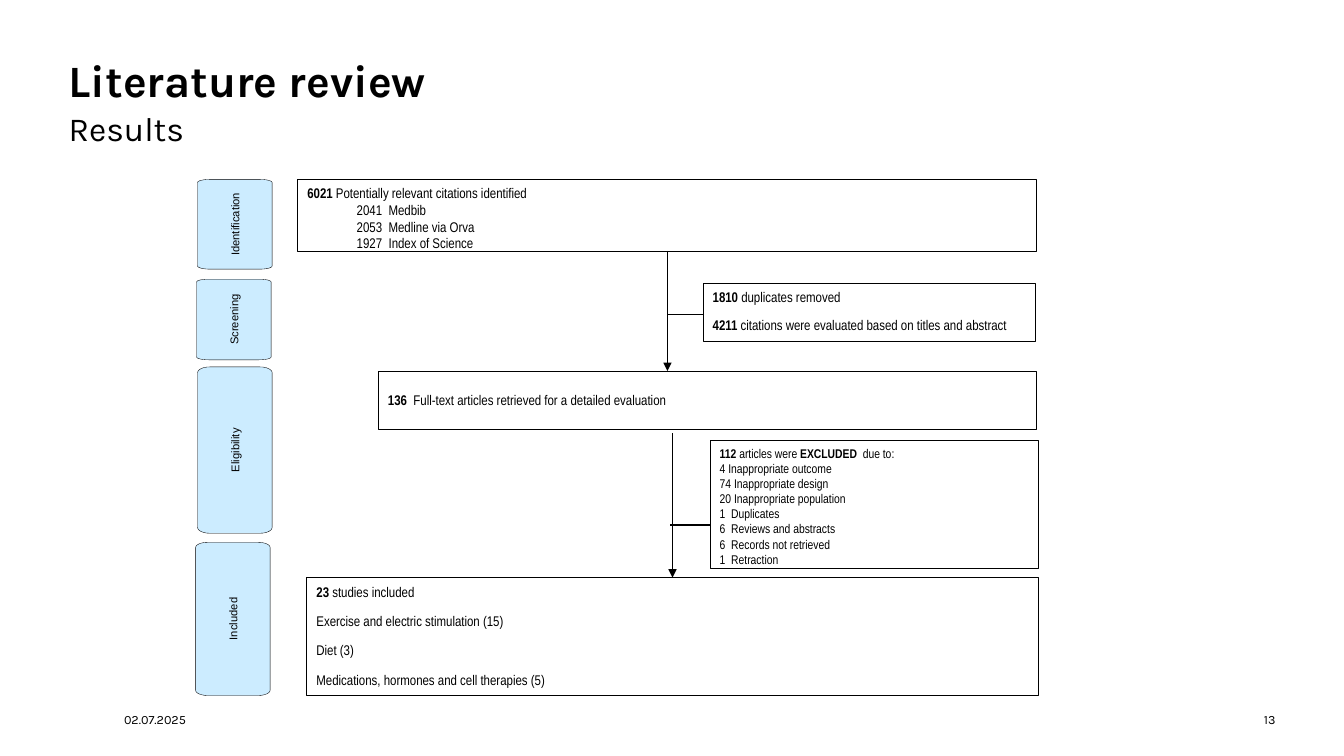
from math import cos, pi, sin

from lxml import etree
from pptx import Presentation
from pptx.dml.color import RGBColor
from pptx.enum.shapes import MSO_CONNECTOR as Connector, MSO_SHAPE as Preset
from pptx.enum.text import MSO_ANCHOR as Anchor, PP_ALIGN as Align
from pptx.oxml.ns import qn
from pptx.util import Emu, Pt

PX = 9144
BLACK, WHITE, PALE_BLUE = "000000", "FFFFFF", "CCECFF"
NARROW = "Arial Narrow"

HEADINGS = [
    dict(area=(68, 52, 1197, 55), lines=["Literature review"], size=32, bold=True),
    dict(area=(68, 107, 1197, 55), lines=["Results"], size=24),
    dict(area=(123, 704, 291, 20), lines=["02.07.2025"], size=9, anchor=Anchor.MIDDLE),
    dict(area=(1210, 704, 55, 20), lines=["13"], size=9, anchor=Anchor.MIDDLE, align=Align.RIGHT),
]
FLOW_BOXES = [
    dict(
        area=(295, 178, 733, 71),
        preset=Preset.FLOWCHART_PROCESS,
        indent=49,
        lines=[
            "**6021 **Potentially relevant citations identified",
            "2041  Medbib",
            "2053  Medline via Orva",
            "1927  Index of Science",
        ],
    ),
    dict(
        area=(697, 281, 330, 58),
        before=8,
        lines=[
            "**1810 **duplicates removed",
            "**4211 **citations were evaluated based on titles and abstract",
        ],
    ),
    dict(
        area=(704, 437, 326, 127),
        size=9,
        lines=[
            "**112 **articles were **EXCLUDED**  due to:",
            "4 Inappropriate outcome",
            "74 Inappropriate design",
            "20 Inappropriate population",
            "1  Duplicates",
            "6  Reviews and abstracts",
            "6  Records not retrieved",
            "1  Retraction",
        ],
    ),
    dict(
        area=(304, 573, 726, 117),
        after=8,
        spacing=1.07,
        lines=[
            "**23 **studies included",
            "Exercise and electric stimulation (15)",
            "Diet (3)",
            "Medications, hormones and cell therapies (5)",
        ],
    ),
    dict(
        area=(375, 368, 653, 58),
        anchor=Anchor.MIDDLE,
        lines=["**136 ** Full-text articles retrieved for a detailed evaluation"],
    ),
]
FLOW_LINES = [
    ((662, 312), (697, 312), False),
    ((667, 430), (667, 573), True),
    ((662, 249), (662, 368), True),
    ((665, 521), (704, 521), False),
]
STAGE_WIDTH = 74
STAGES = [
    ("Identification", 196, 178, 89),
    ("Screening", 195, 277, 80),
    ("Eligibility", 196, 364, 165),
    ("Included", 194, 538, 152),
]


def emu(*lengths):
    return [Emu(round(length * PX)) for length in lengths]


def color(value):
    return RGBColor.from_string(value)


def paint(shape, fill):
    shape.shadow.inherit = False
    shape.fill.solid()
    shape.fill.fore_color.rgb = color(fill)
    shape.line.color.rgb = color(BLACK)
    shape.line.width = Pt(0.25)


def write(shape, lines, size, font, bold=None, align=Align.LEFT, anchor=Anchor.TOP,
          inset=(0, 0), indent=0, before=0, after=0, spacing=None):
    frame = shape.text_frame
    frame.word_wrap = True
    frame.vertical_anchor = anchor
    frame.margin_left = frame.margin_right = Emu(inset[0] * PX)
    frame.margin_top = frame.margin_bottom = Emu(inset[1] * PX)
    for number, line in enumerate(lines):
        para = frame.add_paragraph() if number else frame.paragraphs[0]
        para.alignment = align
        para.space_before = Pt(before if number else 0)
        para.space_after = Pt(after)
        if spacing:
            para.line_spacing = spacing
        if indent and number:
            para._p.get_or_add_pPr().set("marL", str(indent * PX))
        para.font.size = Pt(size)
        para.font.name = font
        para.font.bold = bold
        para.font.color.rgb = color(BLACK)
        for part, text in enumerate(line.split("**")):
            if text:
                span = para.add_run()
                span.text = text
                if part % 2:
                    span.font.bold = True


def add_flow_box(shapes, area, preset=Preset.RECTANGLE, size=10, **style):
    box = shapes.add_shape(preset, *emu(*area))
    paint(box, WHITE)
    write(box, size=size, font=NARROW, inset=(10, 5), **style)


def add_flow_line(shapes, start, end, arrow):
    line = shapes.add_connector(Connector.STRAIGHT, *emu(*start, *end))
    line.line.color.rgb = color(BLACK)
    line.line.width = Pt(1)
    if arrow:
        etree.SubElement(line.line._get_or_add_ln(), qn("a:tailEnd"), type="triangle")
    etree.SubElement(line._element.spPr, qn("a:effectLst"))


def add_stage(shapes, label, left, top, height):
    across, down, steps = 12, height * 0.035, 6
    right, bottom = left + STAGE_WIDTH, top + height
    corners = [
        (right - across, bottom - down),
        (left + across, bottom - down),
        (left + across, top + down),
        (right - across, top + down),
    ]
    outline = []
    for quarter, (x, y) in enumerate(corners):
        for step in range(steps + 1):
            angle = (quarter + step / steps) * pi / 2
            outline.append(emu(x + across * cos(angle), y + down * sin(angle)))
    builder = shapes.build_freeform(*outline[0])
    builder.add_line_segments(outline[1:], close=True)
    paint(builder.convert_to_shape(), PALE_BLUE)

    turned = (left + (STAGE_WIDTH - height) / 2, top + (height - STAGE_WIDTH) / 2)
    caption = shapes.add_textbox(*emu(*turned, height, STAGE_WIDTH))
    caption.rotation = 270
    write(caption, [label], 8, "Arial", align=Align.CENTER, anchor=Anchor.MIDDLE)


def main():
    deck = Presentation()
    deck.slide_width, deck.slide_height = emu(1333, 750)
    page = deck.slides.add_slide(deck.slide_layouts[6])
    for heading in HEADINGS:
        style = dict(heading)
        box = page.shapes.add_textbox(*emu(*style.pop("area")))
        write(box, font="Karla", **style)
    for flow_box in FLOW_BOXES:
        add_flow_box(page.shapes, **flow_box)
    for flow_line in FLOW_LINES:
        add_flow_line(page.shapes, *flow_line)
    for stage in STAGES:
        add_stage(page.shapes, *stage)
    deck.save("out.pptx")


if __name__ == "__main__":
    main()
